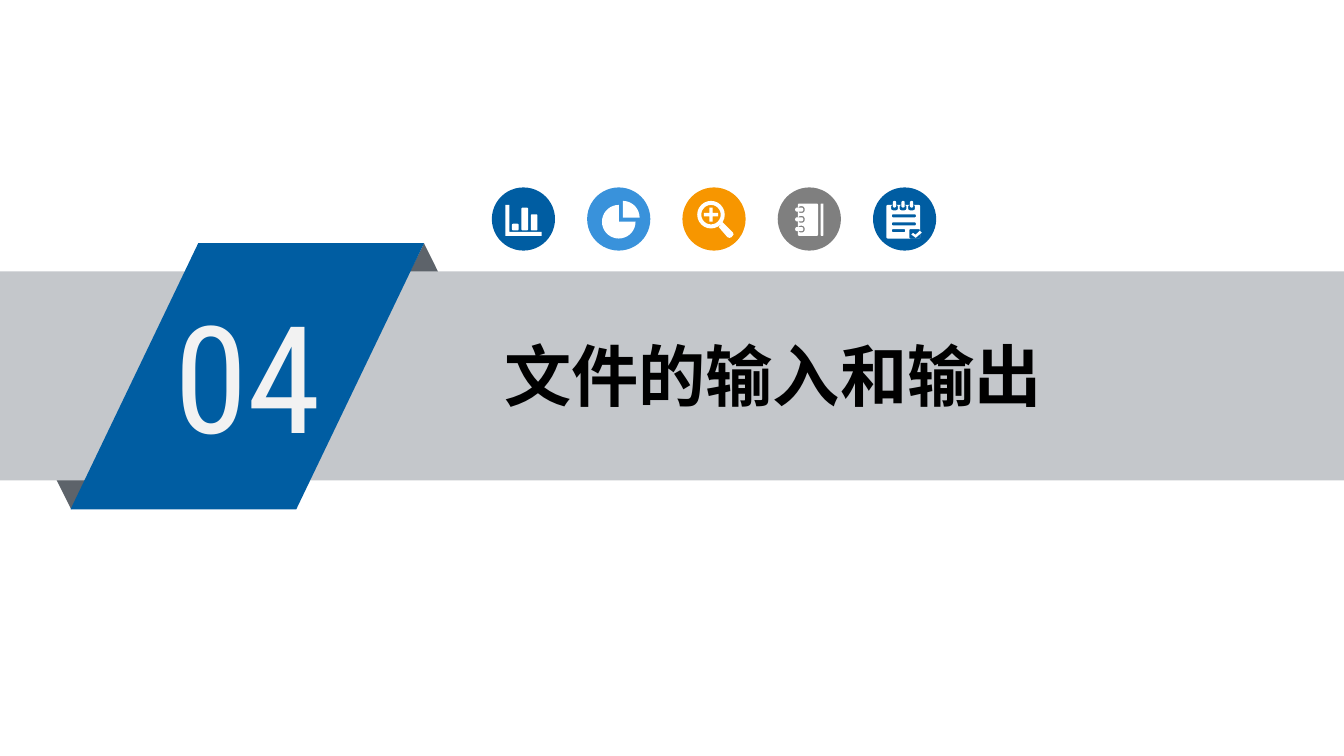
import math

import pptx
import pptx.util
import pptx.dml.color
import pptx.enum.shapes
import pptx.enum.text
import pptx.oxml.ns
import lxml.etree

RGBColor = pptx.dml.color.RGBColor
BLUE = RGBColor(0x00, 0x5D, 0xA2)
SKY = RGBColor(0x39, 0x92, 0xDB)
ORANGE = RGBColor(0xF7, 0x96, 0x00)
GRAY = RGBColor(0x7F, 0x7F, 0x7F)
BAND = RGBColor(0xC4, 0xC7, 0xCB)
FOLD = RGBColor(0x5D, 0x63, 0x6A)
PALE = RGBColor(0xF2, 0xF2, 0xF2)
WHITE = RGBColor(0xFF, 0xFF, 0xFF)
BLACK = RGBColor(0, 0, 0)

KIND = pptx.enum.shapes.MSO_SHAPE
ALIGN = pptx.enum.text.PP_ALIGN

deck = pptx.Presentation()
deck.slide_width = pptx.util.Inches(10)
deck.slide_height = deck.slide_width * 9 // 16
CELL = deck.slide_width // 1000  # square grid of 1000 columns
page = deck.slides.add_slide(deck.slide_layouts[5])


def paint(part, color):
    """Give a shape a plain fill without line or shadow."""
    part.shadow.inherit = False
    part.fill.solid()
    part.fill.fore_color.rgb = color
    part.line.fill.background()
    return part


def rounded(left, top, width, height, radius):
    """Return the outline of a box with round corners."""
    right, bottom = left + width - radius, top + height - radius
    corners = [(right, bottom), (left + radius, bottom),
               (left + radius, top + radius), (right, top + radius)]
    return [(x + radius * math.cos(math.radians(angle)),
             y + radius * math.sin(math.radians(angle)))
            for turn, (x, y) in enumerate(corners)
            for angle in range(90 * turn, 90 * turn + 91, 15)]


# Ribbon: folds behind the band, slanted tab in front
ribbon = page.shapes.add_group_shape()
for kind, place, color in [
        (KIND.ISOSCELES_TRIANGLE, (270.5, 181, 90, 91), FOLD),
        (KIND.ISOSCELES_TRIANGLE, (8, 288.5, 90, 90.5), FOLD),
        (KIND.RECTANGLE, (0, 202, 1000, 155.5), BAND),
        (KIND.PARALLELOGRAM, (52.5, 181, 263, 198), BLUE)]:
    part = ribbon.shapes.add_shape(kind, *(round(v * CELL) for v in place))
    paint(part, color)
    if place[0] == 8:
        part.rotation = 180
part.adjustments[0] = 0.48

# Section number and title, the title brought in front of the band
number = ribbon.shapes.add_textbox(0, 202 * CELL, CELL, CELL)
title = page.shapes.title
page.shapes._spTree.append(title._element)
for box, place, margin, text, font, size, color, align in [
        (number, (122.5, 207.5, 145, 142), 7, "04",
         "Roboto Condensed", 80, PALE, ALIGN.LEFT),
        (title, (303, 245, 544, 68), 8, "文件的输入和输出",
         "Noto Sans CJK SC", 36, BLACK, ALIGN.CENTER)]:
    box.left, box.top, box.width, box.height = (round(v * CELL) for v in place)
    frame = box.text_frame
    frame.word_wrap = True
    frame.auto_size = pptx.enum.text.MSO_AUTO_SIZE.NONE
    frame.vertical_anchor = pptx.enum.text.MSO_ANCHOR.TOP
    frame.margin_left = frame.margin_right = margin * CELL
    frame.margin_top = frame.margin_bottom = 4 * CELL
    para = frame.paragraphs[0]
    para.text = text
    para.alignment = align
    para.font.name = font
    para.font.size = pptx.util.Pt(size)
    para.font.color.rgb = color
    para.font.bold = box is title
    for properties in para._p.iter(pptx.oxml.ns.qn("a:defRPr")):
        east_asian = lxml.etree.SubElement(properties, pptx.oxml.ns.qn("a:ea"))
        east_asian.set("typeface", font)

# Icon outlines, measured from the disc's corner; nested outlines cut holes
bar_chart = [
    [(10, 13), (13, 13), (13, 33), (37, 33), (37, 36), (10, 36)],
    rounded(15, 27, 5, 5, 1),
    rounded(22, 15, 5, 17, 1),
    rounded(29, 20, 5, 12, 1),
]
pie_chart = [
    [(x, y)] + [(x + 12.5 * math.cos(math.radians(angle)),
                 y + 12.5 * math.sin(math.radians(angle)))
                for angle in range(start, end + 1, 10)]
    for x, y, start, end in [(23.5, 25.5, 0, 270), (26.5, 22.5, 270, 360)]
]
magnifier = [
    rounded(11, 10, 20.5, 20.5, 10.25),
    rounded(14, 13, 14.5, 14.5, 7.25),
    [(20, 15), (22.5, 15), (22.5, 19), (26.5, 19), (26.5, 21.5), (22.5, 21.5),
     (22.5, 25.5), (20, 25.5), (20, 21.5), (16, 21.5), (16, 19), (20, 19)],
    [(30, 26), (37.5, 33.5), (38, 35), (36.5, 37), (35, 37.5), (33.5, 37),
     (27, 29.5)],
]
notebook = [rounded(15, 12, 15, 24, 1), rounded(32, 12, 2, 24, 0.5)]
for ring in range(3):
    top = 14 + 7.25 * ring
    notebook += [rounded(15, top, 5, 5, 2), rounded(13, top + 1, 6, 3, 1.25)]
notepad = [rounded(10, 13, 25, 25, 1)]
for clip in range(3):
    left = 13.5 + 6.35 * clip
    notepad += [rounded(left, 13, 5, 4, 1.25),
                rounded(left + 1.25, 10, 2.5, 5, 1.25)]
for top, width in ((20, 18), (26, 18), (31, 10)):
    notepad.append(rounded(14, top, width, 2.25, 1))
notepad += [
    rounded(27, 31, 8, 7, 1),
    [(28.5, 35), (29.8, 33.8), (31.6, 35.2), (34.8, 32.2), (36.3, 33.6),
     (31.8, 37.5)],
]

# Row of icon discs
icons = [(BLUE, bar_chart), (SKY, pie_chart), (ORANGE, magnifier),
         (GRAY, notebook), (BLUE, notepad)]
for index, (disc_color, outlines) in enumerate(icons):
    left, top = 366 + 70.9 * index, 139.5
    icon = page.shapes.add_group_shape()
    disc = icon.shapes.add_shape(
        KIND.OVAL, *(round(v * CELL) for v in (left, top, 47, 47)))
    paint(disc, disc_color)
    contours = [[((left + x) * CELL, (top + y) * CELL) for x, y in outline]
                for outline in outlines]
    builder = icon.shapes.build_freeform(*contours[0][0], scale=1.0)
    for contour in contours:
        if contour is not contours[0]:
            builder.move_to(*contour[0])
        builder.add_line_segments(contour[1:], close=True)
    paint(builder.convert_to_shape(), WHITE)

deck.save("out.pptx")
